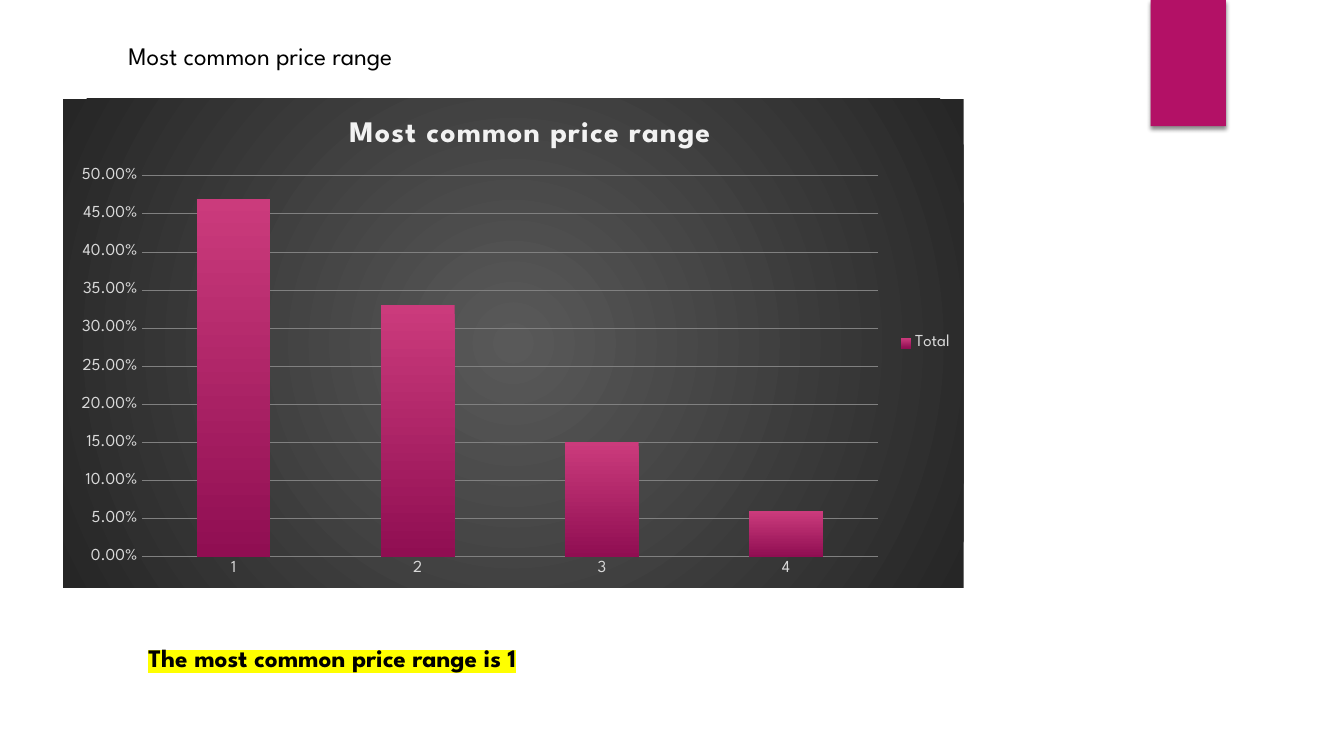
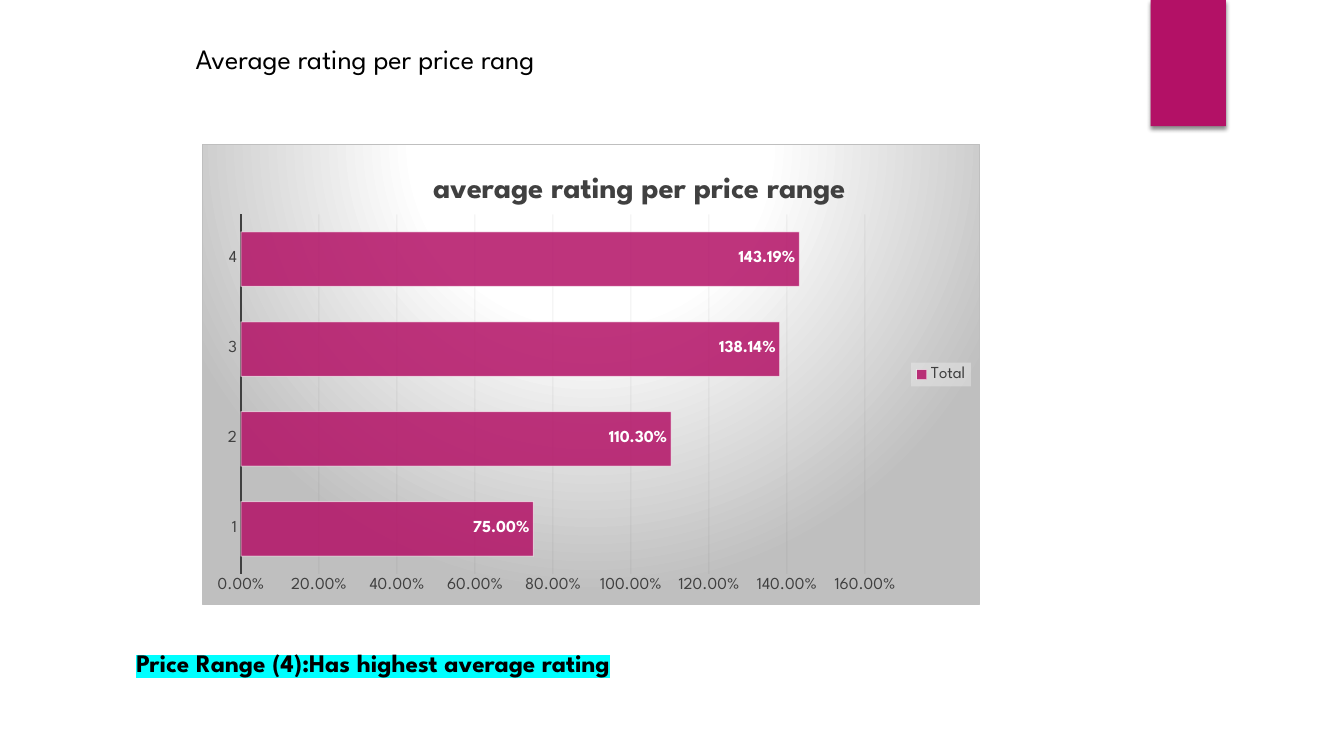
from lxml.etree import SubElement
from pptx import Presentation
from pptx.chart.data import CategoryChartData
from pptx.dml.color import RGBColor
from pptx.enum.chart import XL_CHART_TYPE, XL_LABEL_POSITION, XL_LEGEND_POSITION, XL_TICK_MARK
from pptx.enum.shapes import MSO_SHAPE
from pptx.enum.text import MSO_ANCHOR, MSO_AUTO_SIZE, PP_ALIGN
from pptx.oxml import parse_xml
from pptx.oxml.ns import nsdecls, qn
from pptx.util import Inches, Pt

WIDTH, HEIGHT = Inches(13.33), Inches(7.5)
FONT = "League Spartan"
PERCENT = "0.00%"
COLORS = {
    "black": "000000", "white": "FFFFFF", "accent": "B31166",
    "bar top": "CB3B7C", "bar bottom": "900E52",
    "yellow": "FFFF00", "cyan": "00FFFF",
    "dark grid": "808080", "light grid": "0D0D0D", "border": "BFBFBF",
    "pale": "F2F2F2", "dark text": "D9D9D9", "light text": "404040",
}
RGB = {name: RGBColor.from_string(value) for name, value in COLORS.items()}

# Areas are left, top, width, height in percent of the slide.
# Plot and title places are in percent of the chart.
PAGES = [
    {
        "title": "Most common price range", "title area": (8.8, 4.7, 56.5, 5.3), "title size": 18,
        "caption": "The most common price range is 1", "caption area": (10.3, 84.3, 50, 5.3),
        "highlight": "yellow",
        "chart type": XL_CHART_TYPE.COLUMN_STACKED, "chart area": (4.7, 13.05, 67, 64.7),
        "chart title": "Most common price range", "chart title size": 21.3,
        "chart title color": "pale", "text color": "dark text",
        "title place": (31.2, 2.8), "plot place": (8.7, 15.8, 81.8, 77.9),
        "values": (0.47, 0.33, 0.15, 0.06), "maximum": 0.5, "step": 0.05,
        "gap": 150, "overlap": 100, "grid": "dark grid",
        "stops": ((0, "595959"), (100, "262626")), "center": (50, 50, 50, 50),
    },
    {
        "title": "Average rating per price rang", "title area": (13.8, 4.8, 45.7, 5.9), "title size": 20,
        "caption": "Price Range (4):Has highest average rating", "caption area": (9.4, 85, 62.6, 5.3),
        "highlight": "cyan",
        "chart type": XL_CHART_TYPE.BAR_CLUSTERED, "chart area": (15, 19.1, 57.9, 60.9),
        "chart title": "average rating per price range", "chart title size": 22,
        "chart title color": "light text", "text color": "light text",
        "title place": (29, 5.1), "plot place": (5, 15.1, 80.3, 78.3),
        "values": (0.75, 1.103, 1.3814, 1.4319), "maximum": 1.6, "step": 0.2,
        "gap": 65, "overlap": 0, "grid": "light grid",
        "stops": ((0, "FFFFFF"), (39, "FFFFFF"), (100, "BFBFBF")), "center": (50, -80, 50, 180),
    },
]


def style(font, size, color, bold=False):
    font.name, font.size, font.bold = FONT, Pt(size), bold
    font.color.rgb = RGB[color]


def set_alpha(element, percent):
    """Give the last colour inside the element an opacity."""
    color = list(element.iter(qn("a:srgbClr")))[-1]
    SubElement(color, qn("a:alpha")).set("val", str(percent * 1000))


deck = Presentation()
deck.slide_width, deck.slide_height = WIDTH, HEIGHT
layout = deck.slide_layouts[5]
column, row = WIDTH / 100, HEIGHT / 100
units = (column, row, column, row)

for page in PAGES:
    slide = deck.slides.add_slide(layout)
    areas = {name: [int(share * unit) for share, unit in zip(page[name], units)]
             for name in ("title area", "caption area", "chart area")}

    if page is PAGES[0]:  # the corner tab belongs to the shared layout
        tab = slide.shapes.add_shape(
            MSO_SHAPE.RECTANGLE, int(85.62 * column), 0, int(5.6 * column), int(16.7 * row))
        tab.fill.solid()
        tab.fill.fore_color.rgb = RGB["accent"]
        tab.line.fill.background()
        tab._element.spPr.append(parse_xml(
            f'<a:effectLst {nsdecls("a")}><a:outerShdw blurRad="{Pt(3)}" dist="{Pt(2)}" '
            f'dir="5400000" rotWithShape="0"><a:srgbClr val="{COLORS["black"]}">'
            '<a:alpha val="45000"/></a:srgbClr></a:outerShdw></a:effectLst>'))
        layout.shapes._spTree.append(tab._element)

    # Title and chart
    title = slide.shapes.title
    title.left, title.top, title.width, title.height = areas["title area"]
    title.text_frame.text = page["title"]

    data = CategoryChartData(number_format=PERCENT)
    data.categories = ["1", "2", "3", "4"]
    data.add_series("Total", page["values"])
    chart = slide.shapes.add_chart(page["chart type"], *areas["chart area"], data).chart
    style(chart.font, 12, page["text color"])

    # Caption, then the shared text format
    caption = slide.shapes.add_textbox(*areas["caption area"])
    caption.text_frame.text = page["caption"]
    for box, size, bold in ((title, page["title size"], False), (caption, 18, True)):
        frame = box.text_frame
        frame.word_wrap = True
        frame.auto_size = MSO_AUTO_SIZE.SHAPE_TO_FIT_TEXT
        frame.vertical_anchor = MSO_ANCHOR.TOP
        para = frame.paragraphs[0]
        para.alignment = PP_ALIGN.LEFT
        style(para.runs[0].font, size, "black", bold)
    properties = caption.text_frame.paragraphs[0].runs[0]._r.get_or_add_rPr()
    properties.find(qn("a:latin")).addprevious(parse_xml(
        f'<a:highlight {nsdecls("a")}><a:srgbClr val="{COLORS[page["highlight"]]}"/></a:highlight>'))

    # Chart title and legend
    chart.has_title = True
    chart.chart_title.text_frame.text = page["chart title"]
    span = chart.chart_title.text_frame.paragraphs[0].runs[0]
    style(span.font, page["chart title size"], page["chart title color"], True)
    chart.has_legend = True
    chart.legend.position = XL_LEGEND_POSITION.RIGHT
    chart.legend.include_in_layout = False
    style(chart.legend.font, 12, page["text color"])

    # Axes
    for axis in (chart.category_axis, chart.value_axis):
        axis.major_tick_mark = axis.minor_tick_mark = XL_TICK_MARK.NONE
        axis.format.line.fill.background()
        style(axis.tick_labels.font, 12, page["text color"])
    values = chart.value_axis
    values.minimum_scale, values.maximum_scale = 0, page["maximum"]
    values.major_unit = page["step"]
    values.tick_labels.number_format = PERCENT
    values.tick_labels.number_format_is_linked = False
    values.has_major_gridlines = True
    values.major_gridlines.format.line.width = Pt(0.75)
    values.major_gridlines.format.line.color.rgb = RGB[page["grid"]]

    # Bars
    plot = chart.plots[0]
    plot.gap_width, plot.overlap = page["gap"], page["overlap"]
    plot.vary_by_categories = False
    series = plot.series[0]
    series.invert_if_negative = False
    fill = series.format.fill
    if page["chart type"] == XL_CHART_TYPE.COLUMN_STACKED:
        span._r.get_or_add_rPr().set("spc", "100")
        fill.gradient()
        fill.gradient_angle = 270
        for stop, position, name in zip(fill.gradient_stops, (0, 1), ("bar top", "bar bottom")):
            stop.position = position
            stop.color.rgb = RGB[name]
        border = "<a:ln><a:noFill/></a:ln>"
    else:
        fill.solid()
        fill.fore_color.rgb = RGB["accent"]
        set_alpha(series._element.find(qn("c:spPr")), 85)
        series.format.line.width = Pt(0.75)
        series.format.line.color.rgb = RGB["white"]
        set_alpha(series._element.find(qn("c:spPr")), 50)
        set_alpha(values._element.find(qn("c:majorGridlines")), 5)
        chart.category_axis.format.line.width = Pt(1.5)
        chart.category_axis.format.line.color.rgb = RGB["light text"]
        labels = series.data_labels
        labels.show_value = True
        labels.position = XL_LABEL_POSITION.INSIDE_END
        labels.number_format = PERCENT
        labels.number_format_is_linked = False
        style(labels.font, 12, "white", True)
        chart.legend._element.find(qn("c:txPr")).addprevious(parse_xml(
            f'<c:spPr {nsdecls("c", "a")}><a:solidFill><a:srgbClr val="{COLORS["pale"]}">'
            '<a:alpha val="39000"/></a:srgbClr></a:solidFill></c:spPr>'))
        border = (f'<a:ln w="{Pt(0.75)}"><a:solidFill><a:srgbClr val="{COLORS["border"]}"/>'
                  "</a:solidFill></a:ln>")

    # Radial chart background
    stops = "".join(f'<a:gs pos="{position * 1000}"><a:srgbClr val="{color}"/></a:gs>'
                    for position, color in page["stops"])
    center = " ".join(f'{side}="{share * 1000}"' for side, share in zip("ltrb", page["center"]))
    chart_element = chart._chartSpace.find(qn("c:chart"))
    chart_element.addnext(parse_xml(
        f'<c:spPr {nsdecls("c", "a")}><a:gradFill><a:gsLst>{stops}</a:gsLst>'
        f'<a:path path="circle"><a:fillToRect {center}/></a:path></a:gradFill>{border}</c:spPr>'))

    # Fixed places for the chart title and the plot
    for tag, place in (("c:title", page["title place"]), ("c:plotArea", page["plot place"])):
        parent = chart_element.find(qn(tag))
        for old in parent.findall(qn("c:layout")):
            parent.remove(old)
        target = '<c:layoutTarget val="inner"/>' if tag == "c:plotArea" else ""
        modes = "".join(f'<c:{side}Mode val="edge"/>' for side in "xy")
        shares = "".join(f'<c:{side} val="{share / 100:.3f}"/>' for side, share in zip("xywh", place))
        parent.insert(1 if tag == "c:title" else 0, parse_xml(
            f'<c:layout {nsdecls("c")}><c:manualLayout>{target}{modes}{shares}'
            "</c:manualLayout></c:layout>"))

deck.save("out.pptx")
